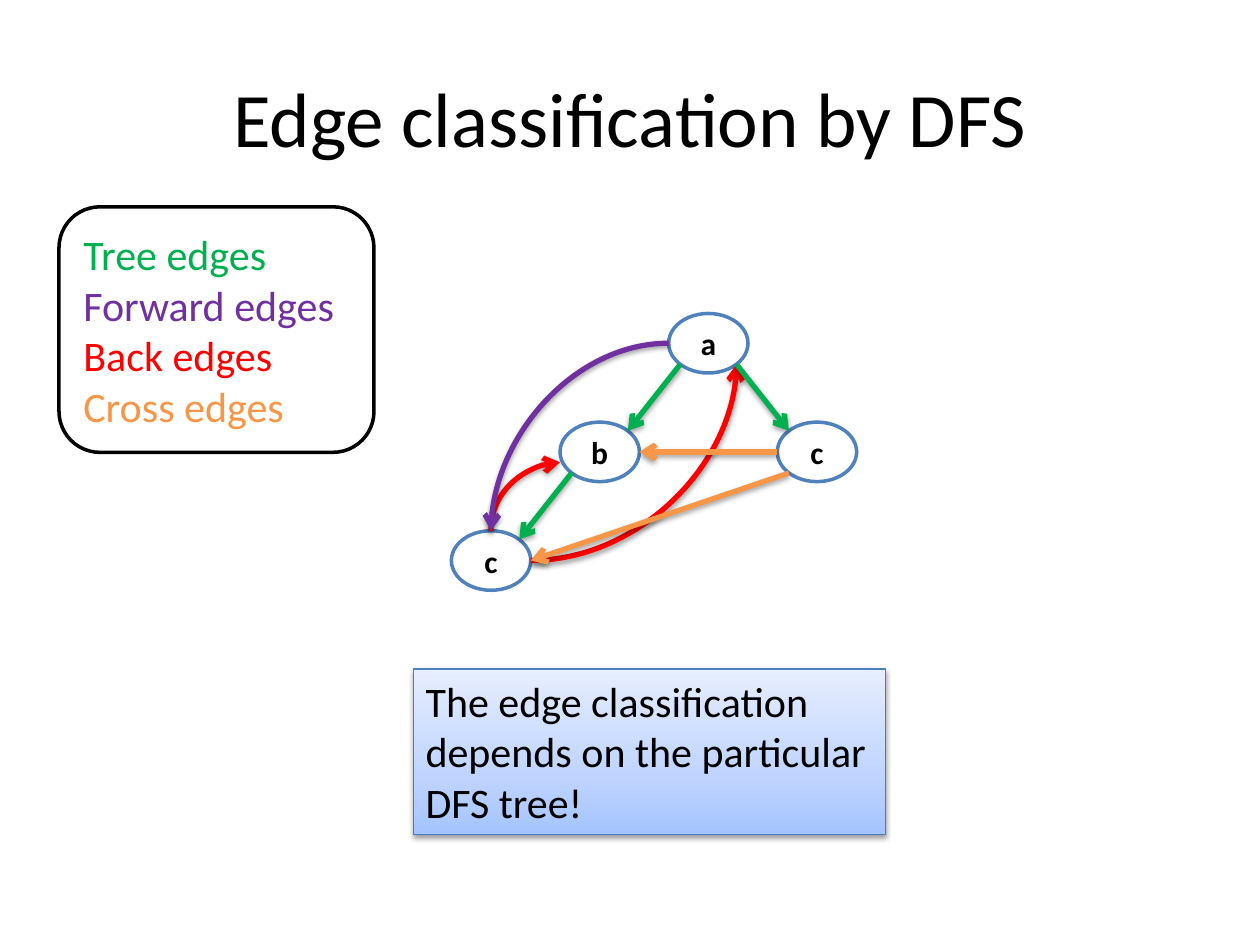
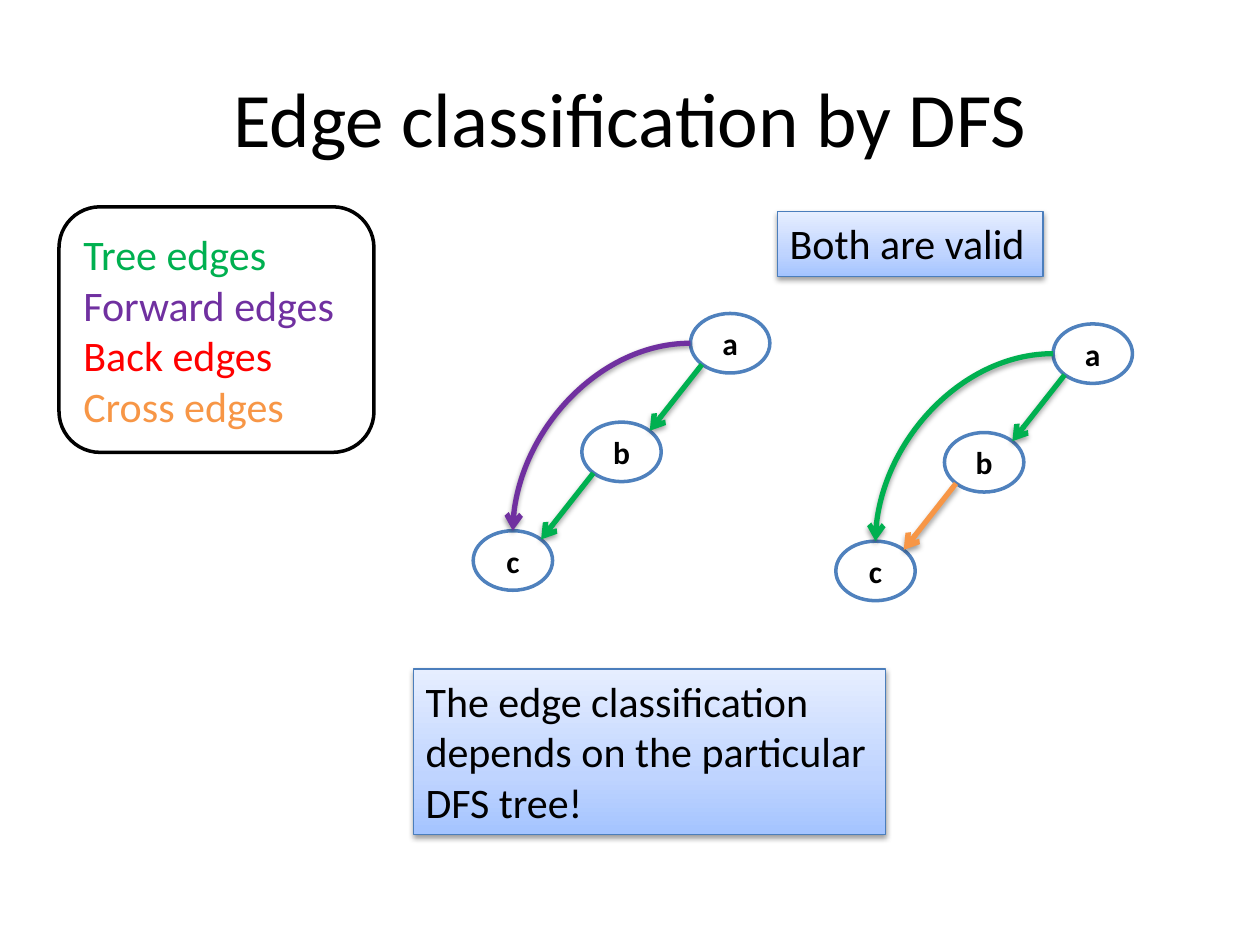
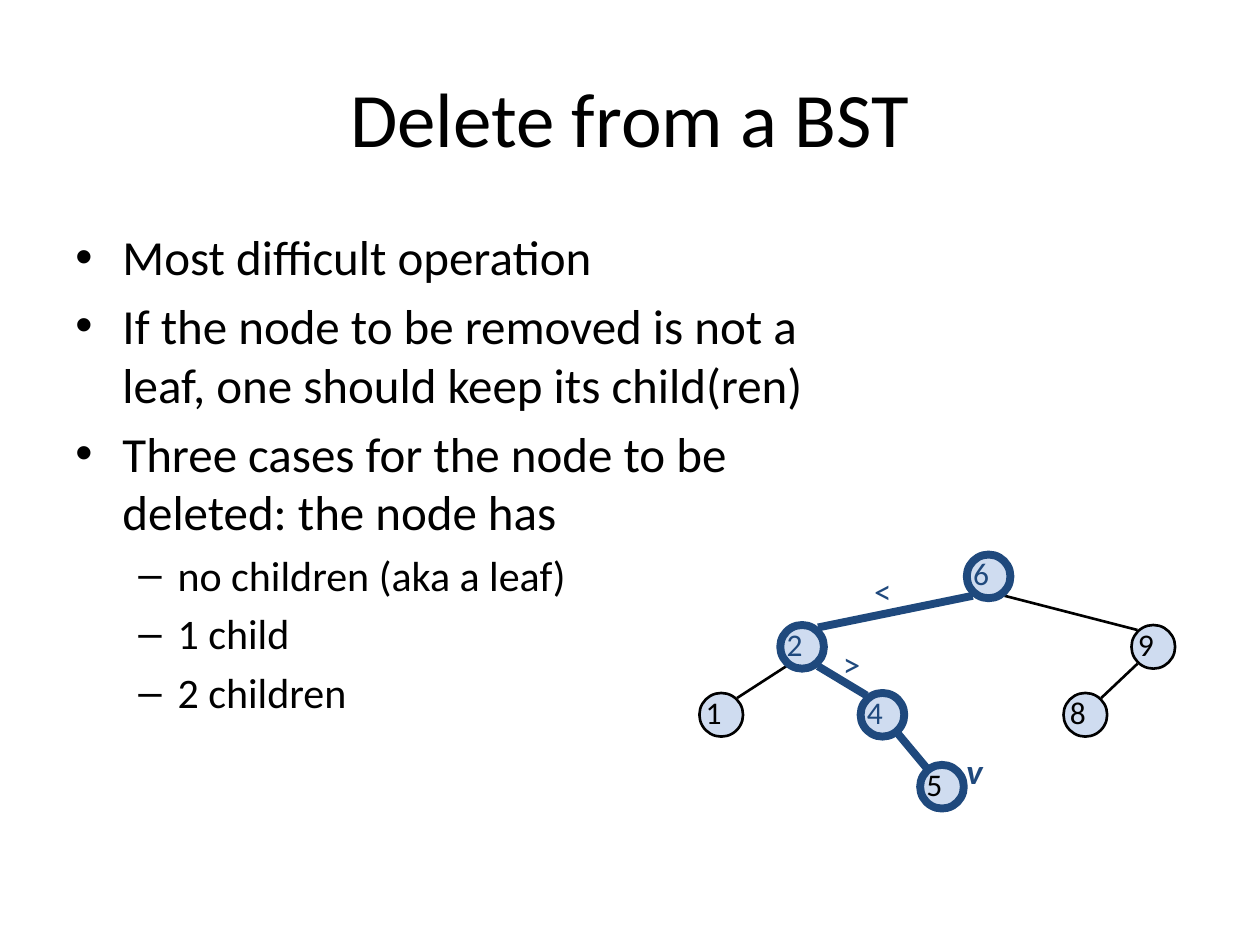
"""Build three slides on DFS edge classification and deletion from a BST."""
from pptx import Presentation, oxml
from pptx import util as u
from pptx.dml import color as dml
from pptx.enum import shapes, text
from pptx.oxml import ns

rgb = dml.RGBColor.from_string
BLACK, WHITE, NAVY, PALE = "000000", "FFFFFF", "1F497D", "CFDCF0"
TREE, FORWARD, BACK, CROSS = "00B050", "7030A0", "FF0000", "F79646"
OUTLINE, NOTE_OUTLINE = "4F81BD", "4B7EBC"
A = ns.nsdecls("a")
SHADOW = (f'<a:effectLst {A}><a:outerShdw blurRad="40000" dist="20000" dir="5400000" rotWithShape="0">'
          '<a:srgbClr val="000000"><a:alpha val="38000"/></a:srgbClr></a:outerShdw></a:effectLst>')
NOTE_FILL = (f'<a:gradFill {A} rotWithShape="1"><a:gsLst>'
             + "".join(f'<a:gs pos="{stop}000"><a:srgbClr val="{shade}"/></a:gs>'
                       for stop, shade in ((0, "A4C4FF"), (35, "BFD4FF"), (100, "E6EEFF")))
             + '</a:gsLst><a:lin ang="16200000" scaled="0"/></a:gradFill>')


def write(frame, words, size=24, color=BLACK, bold=False, italic=False, align="LEFT", anchor="TOP", wrap=True):
    paragraph = frame.add_paragraph() if frame.text else frame.paragraphs[0]
    paragraph.alignment = text.PP_ALIGN[align]
    run = paragraph.add_run()
    run.text = words
    run.font.name, run.font.size = "Calibri", u.Pt(size)
    run.font.bold, run.font.italic = bold, italic
    run.font.color.rgb = rgb(color)
    frame.vertical_anchor = text.MSO_ANCHOR[anchor]
    frame.word_wrap = wrap
    return paragraph


def link(slide, start, end, color, width, curved=False, arrow=None):
    style = shapes.MSO_CONNECTOR.CURVE if curved else shapes.MSO_CONNECTOR.STRAIGHT
    edge = slide.shapes.add_connector(style, *(u.Cm(v) for v in (*start, *end)))
    edge.line.color.rgb = rgb(color)
    edge.line.width = u.Pt(width)
    properties = edge._element.spPr
    if curved:
        properties.find(ns.qn("a:prstGeom")).set("prst", "curvedConnector2")
    if arrow:
        properties.find(ns.qn("a:ln")).append(oxml.parse_xml(f'<a:{arrow} {A} type="arrow"/>'))
    properties.append(oxml.parse_xml(SHADOW if arrow else f"<a:effectLst {A}/>"))


deck = Presentation()
deck.slide_width, deck.slide_height = u.Cm(25.4), u.Cm(19.05)
for heading in ("Edge classification by DFS", "Edge classification by DFS", "Delete from a BST"):
    slide = deck.slides.add_slide(deck.slide_layouts[6])
    title = slide.shapes.add_textbox(u.Cm(1.27), u.Cm(0.76), u.Cm(22.86), u.Cm(3.18))
    write(title.text_frame, heading, size=44, align="CENTER", anchor="MIDDLE")
one_tree, two_trees, deletion = deck.slides

for slide in (one_tree, two_trees):
    legend = slide.shapes.add_shape(shapes.MSO_SHAPE.ROUNDED_RECTANGLE, u.Cm(1.19), u.Cm(4.17), u.Cm(6.35), u.Cm(4.95))
    legend.shadow.inherit = False
    legend.fill.solid()
    legend.fill.fore_color.rgb = rgb(WHITE)
    legend.line.color.rgb = rgb(BLACK)
    legend.line.width = u.Pt(2)
    for kind, color in (("Tree", TREE), ("Forward", FORWARD), ("Back", BACK), ("Cross", CROSS)):
        write(legend.text_frame, f"{kind} edges", color=color, anchor="MIDDLE")

RX, RY, STEP, DIAGONAL = 0.8, 0.6, 2.19, 0.71
grid = {"a": (0, 0), "b": (-1, 1), "c": (-2, 2), "c2": (1, 1)}
ports = {"n": (0, -1), "e": (1, 0), "w": (-1, 0), "wsw": (-1, 0.35),
         "ne": (DIAGONAL, -DIAGONAL), "se": (DIAGONAL, DIAGONAL), "sw": (-DIAGONAL, DIAGONAL)}
graphs = [
    (one_tree, 14.28, 6.92, ("a", "b", "c", "c2"), [
        ("a", "sw", "b", "ne", TREE, False, "tailEnd"),
        ("b", "sw", "c", "ne", TREE, False, "tailEnd"),
        ("c", "e", "a", "se", BACK, True, "tailEnd"),
        ("b", "wsw", "c", "n", BACK, True, "headEnd"),
        ("a", "w", "c", "n", FORWARD, True, "tailEnd"),
        ("a", "se", "c2", "n" + "w", TREE, False, "tailEnd"),
        ("c2", "w", "b", "e", CROSS, False, "tailEnd"),
        ("c2", "sw", "c", "e", CROSS, False, "tailEnd")]),
    (two_trees, 14.72, 6.92, ("a", "b", "c"), [
        ("a", "sw", "b", "ne", TREE, False, "tailEnd"),
        ("b", "sw", "c", "ne", TREE, False, "tailEnd"),
        ("a", "w", "c", "n", FORWARD, True, "tailEnd")]),
    (two_trees, 22.03, 7.13, ("a", "b", "c"), [
        ("a", "sw", "b", "ne", TREE, False, "tailEnd"),
        ("b", "sw", "c", "ne", CROSS, False, "tailEnd"),
        ("a", "w", "c", "n", TREE, True, "tailEnd")]),
]
ports["nw"] = (-DIAGONAL, -DIAGONAL)
for slide, root_x, root_y, vertices, edges in graphs:
    centres = {key: (root_x + grid[key][0] * STEP, root_y + grid[key][1] * STEP) for key in vertices}
    for key, (x, y) in centres.items():
        vertex = slide.shapes.add_shape(shapes.MSO_SHAPE.OVAL, u.Cm(x - RX), u.Cm(y - RY), u.Cm(2 * RX), u.Cm(2 * RY))
        vertex.shadow.inherit = False
        vertex.fill.solid()
        vertex.fill.fore_color.rgb = rgb(WHITE)
        vertex.line.color.rgb = rgb(OUTLINE)
        vertex.line.width = u.Pt(2)
        write(vertex.text_frame, key[0], size=18, bold=True, align="CENTER", anchor="MIDDLE")
    for source, leave, target, enter, color, curved, arrow in edges:
        start, end = [(centres[key][0] + ports[port][0] * RX, centres[key][1] + ports[port][1] * RY)
                      for key, port in ((source, leave), (target, enter))]
        link(slide, start, end, color, 3, curved, arrow)

moral = "The edge classification depends on the particular DFS tree!"
for slide, words, x, y, width, height in (
        (one_tree, moral, 8.33, 13.49, 9.52, 3.33),
        (two_trees, "Both are valid", 15.67, 4.27, 5.36, 1.3),
        (two_trees, moral, 8.33, 13.49, 9.52, 3.33)):
    note = slide.shapes.add_shape(shapes.MSO_SHAPE.RECTANGLE, u.Cm(x), u.Cm(y), u.Cm(width), u.Cm(height))
    note.line.color.rgb = rgb(NOTE_OUTLINE)
    note.line.width = u.Pt(0.75)
    note._element.spPr.insert(2, oxml.parse_xml(NOTE_FILL))
    note._element.spPr.append(oxml.parse_xml(SHADOW))
    write(note.text_frame, words)
    note.text_frame.auto_size = text.MSO_AUTO_SIZE.SHAPE_TO_FIT_TEXT

body = deletion.shapes.add_textbox(u.Cm(1.27), u.Cm(4.45), u.Cm(15.24), u.Cm(12.57))
levels = [(28, "•", 0.95, 0.95), (24, "–", 2.06, 0.79)]
for level, words in (
        (0, "Most difficult operation"),
        (0, "If the node to be removed is not a leaf, one should keep its child(ren)"),
        (0, "Three cases for the node to be deleted: the node has"),
        (1, "no children (aka a leaf)"),
        (1, "1 child"),
        (1, "2 children")):
    size, bullet, margin, hanging = levels[level]
    point = write(body.text_frame, words, size=size)
    point.level = level
    point.space_before = u.Pt(size * 0.2)
    layout = point._p.get_or_add_pPr()
    layout.set("marL", str(u.Cm(margin)))
    layout.set("indent", str(-u.Cm(hanging)))
    layout.append(oxml.parse_xml(f'<a:buFont {A} typeface="Arial"/>'))
    layout.append(oxml.parse_xml(f'<a:buChar {A} char="{bullet}"/>'))

RADIUS, PORT_X = 0.44, 0.32
keys = {"6": (19.93, 11.62), "9": (23.25, 13.04), "2": (16.17, 13.04), "4": (17.79, 14.41),
        "1": (14.54, 14.41), "8": (21.88, 14.41), "5": (18.99, 15.86)}
visited = "6245"
port_y = {key: 0.39 if key in visited else 0.34 for key in keys}
for parent, child in ("62", "69", "98", "45", "21", "24"):
    (parent_x, parent_y), (child_x, child_y) = keys[parent], keys[child]
    side = PORT_X if child_x > parent_x else -PORT_X
    on_search = parent in visited and child in visited
    link(deletion, (parent_x + side, parent_y + port_y[parent]), (child_x - side, child_y - port_y[child]),
         NAVY if on_search else BLACK, 4.5 if on_search else 1.5)
for key, (x, y) in keys.items():
    node = deletion.shapes.add_shape(shapes.MSO_SHAPE.OVAL, u.Cm(x - RADIUS), u.Cm(y - RADIUS),
                                     u.Cm(2 * RADIUS), u.Cm(2 * RADIUS))
    node.shadow.inherit = False
    node.fill.solid()
    node.fill.fore_color.rgb = rgb(PALE)
    node.line.color.rgb = rgb(NAVY if key in visited else BLACK)
    node.line.width = u.Pt(4.5 if key in visited else 1.5)
    frame = node.text_frame
    frame.margin_left = frame.margin_top = frame.margin_right = 0
    frame.margin_bottom = u.Cm(0.13)
    write(frame, key, size=18, color=NAVY if key in "624" else BLACK, anchor="MIDDLE", wrap=False)

for words, x, y, width, strong in (("v", 19.23, 14.99, 1.07, True), ("<", 17.37, 11.35, 0.99, False),
                                   (">", 16.74, 12.83, 0.99, False)):
    mark = deletion.shapes.add_textbox(u.Cm(x), u.Cm(y), u.Cm(width), u.Cm(1.12))
    write(mark.text_frame, words, size=20, color=NAVY, bold=strong, italic=strong, wrap=False)
    mark.text_frame.auto_size = text.MSO_AUTO_SIZE.SHAPE_TO_FIT_TEXT

deck.save("out.pptx")
